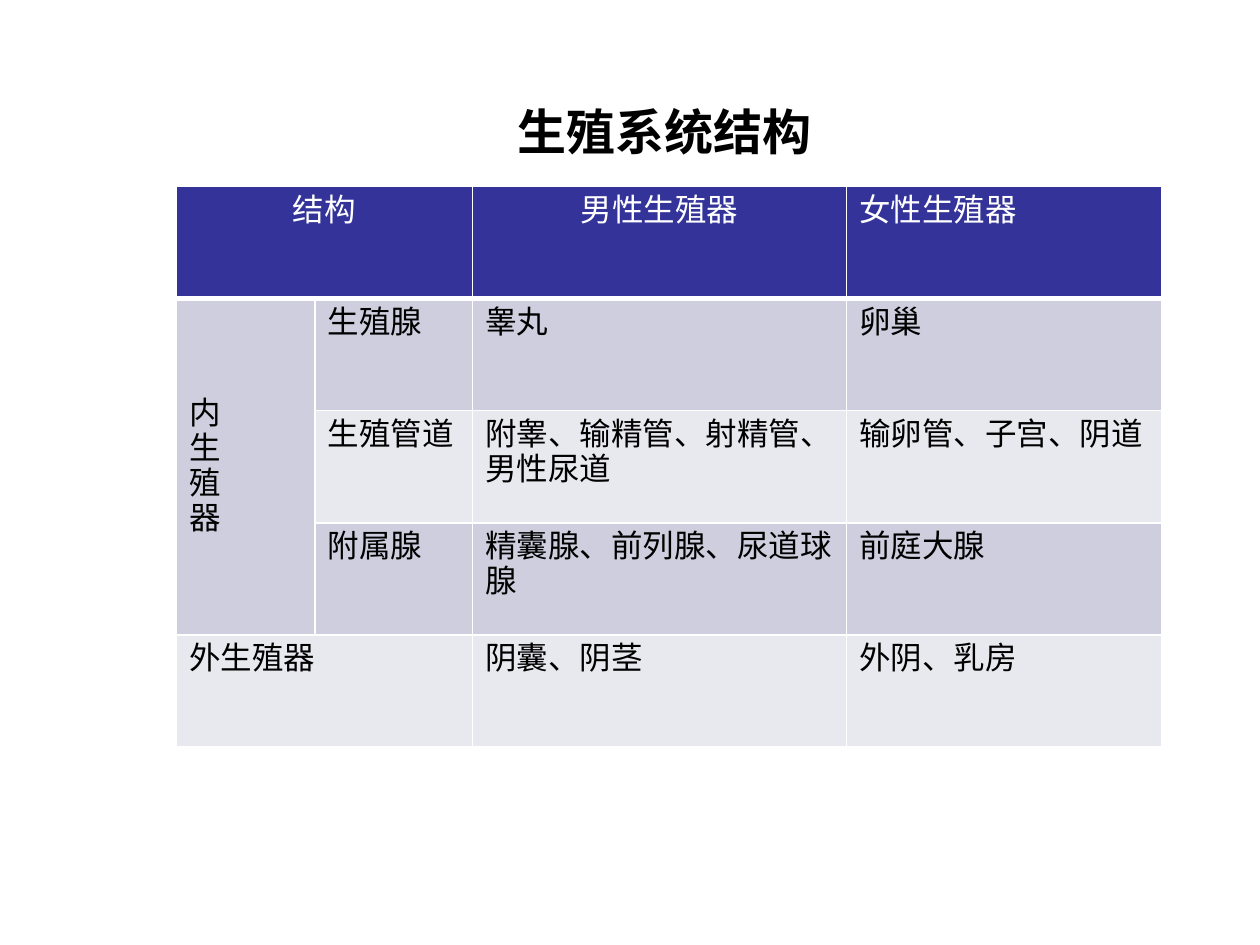
import pptx
import pptx.util
import pptx.dml.color
import pptx.enum.text
import pptx.oxml.ns
from lxml import etree

Inches, Pt = pptx.util.Inches, pptx.util.Pt
RGBColor = pptx.dml.color.RGBColor
PP_ALIGN = pptx.enum.text.PP_ALIGN
MSO_ANCHOR = pptx.enum.text.MSO_ANCHOR
qn = pptx.oxml.ns.qn

BLACK = RGBColor(0x00, 0x00, 0x00)
WHITE = RGBColor(0xFF, 0xFF, 0xFF)
NAVY = RGBColor(0x33, 0x33, 0x99)
BANDS = [RGBColor(0xE8, 0xE8, 0xEF), RGBColor(0xCE, 0xCE, 0xDE)]

TITLE_FONT = {"name": "Noto Sans CJK SC", "size": Pt(28), "bold": True}
CELL_FONT = {"name": "Arial", "size": Pt(18), "bold": False}

COL_WIDTHS = [1.1, 1.25, 2.97, 2.5]
ROWS = [
    ["结构", "", "男性生殖器", "女性生殖器"],
    ["内\n生\n殖\n器", "生殖腺", "睾丸", "卵巢"],
    ["", "生殖管道", "附睾、输精管、射精管、男性尿道", "输卵管、子宫、阴道"],
    ["", "附属腺", "精囊腺、前列腺、尿道球腺", "前庭大腺"],
    ["外生殖器", "", "阴囊、阴茎", "外阴、乳房"],
]
MERGES = [((0, 0), (0, 1)), ((1, 0), (3, 0)), ((4, 0), (4, 1))]
CENTRED = [(0, 0), (0, 2)]


def write_text(tf, text, font, color, align=PP_ALIGN.LEFT):
    """Write one paragraph per line, with the font for Latin and East Asian text."""
    for i, line in enumerate(text.split("\n")):
        p = tf.paragraphs[0] if i == 0 else tf.add_paragraph()
        p.alignment = align
        r = p.add_run()
        r.text = line
        for name, value in font.items():
            setattr(r.font, name, value)
        r.font.color.rgb = color
        ea = etree.SubElement(r.font._element, qn("a:ea"))
        ea.set("typeface", font["name"])


def set_borders(cell, widths):
    """Draw white cell edges; widths maps L, R, T, B to points."""
    tcPr = cell._tc.get_or_add_tcPr()
    for i, (side, width) in enumerate(widths.items()):
        ln = etree.Element(qn(f"a:ln{side}"), w=str(Pt(width)))
        fill = etree.SubElement(ln, qn("a:solidFill"))
        etree.SubElement(fill, qn("a:srgbClr"), val=str(WHITE))
        tcPr.insert(i, ln)


def add_title(slide, left, top, width, height):
    tf = slide.shapes.add_textbox(left, top, width, height).text_frame
    tf.word_wrap = True
    tf.vertical_anchor = MSO_ANCHOR.MIDDLE
    write_text(tf, "生殖系统结构", TITLE_FONT, BLACK, PP_ALIGN.CENTER)


def add_structure_table(slide, left, top, width, height):
    frame = slide.shapes.add_table(len(ROWS), len(COL_WIDTHS), left, top, width, height)
    table = frame.table
    for column, share in zip(table.columns, COL_WIDTHS):
        column.width = int(width * share / sum(COL_WIDTHS))
    for start, end in MERGES:
        table.cell(*start).merge(table.cell(*end))

    for i, row in enumerate(ROWS):
        # The merged inner-organ cell keeps the band of its first row.
        for j, text in enumerate(row):
            cell = table.cell(i, j)
            cell.fill.solid()
            cell.fill.fore_color.rgb = BANDS[i % 2] if i else NAVY
            set_borders(cell, {"L": 1, "R": 1, "T": 3 if i == 1 else 1,
                               "B": 1 if i else 3})
            if text:
                align = PP_ALIGN.CENTER if (i, j) in CENTRED else PP_ALIGN.LEFT
                write_text(cell.text_frame, text, CELL_FONT,
                           BLACK if i else WHITE, align)
    table.cell(1, 0).margin_top = Inches(0.77)


def main():
    prs = pptx.Presentation()
    prs.slide_width, prs.slide_height = Inches(10), Inches(7.5)
    slide = prs.slides.add_slide(prs.slide_layouts[6])
    add_title(slide, Inches(1.4), Inches(0.75), Inches(7.75), Inches(0.58))
    add_structure_table(slide, Inches(1.4), Inches(1.48), Inches(7.82), Inches(4.45))
    prs.save("out.pptx")


if __name__ == "__main__":
    main()
